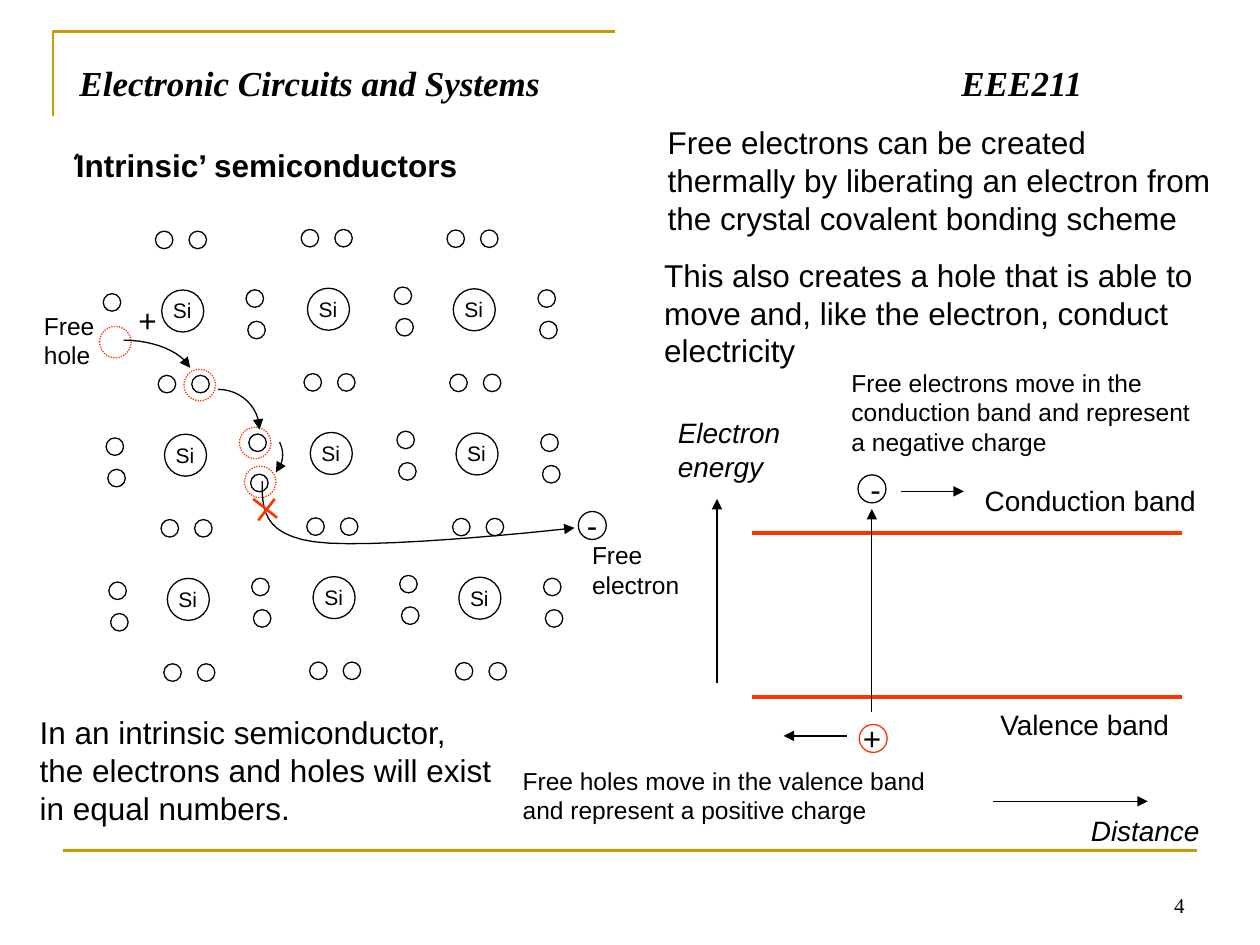
from lxml.etree import SubElement
from pptx import Presentation
from pptx.dml.color import RGBColor
from pptx.enum.dml import MSO_LINE
from pptx.enum.shapes import MSO_CONNECTOR, MSO_SHAPE
from pptx.enum.text import MSO_ANCHOR, PP_ALIGN
from pptx.oxml.ns import qn
from pptx.util import Pt

BLACK, WHITE, RED, GOLD = "000000", "FFFFFF", "FF3300", "CC9900"
SERIF = "Times New Roman"


def tint(fill, color):
    fill.solid()
    fill.fore_color.rgb = RGBColor.from_string(color)


def bend(start, *curves, steps=12):
    points = [start]
    for one, two, end in curves:
        first = points[-1]
        for step in range(1, steps + 1):
            t = step / steps
            u = 1 - t
            points.append(tuple(
                u**3 * a + 3 * u * u * t * b + 3 * u * t * t * c + t**3 * d
                for a, b, c, d in zip(first, one, two, end)))
    return points


class Sketch:
    base = {"name": "Arial", "size": Pt(18), "bold": False, "italic": False}

    def __init__(self, slide):
        self.slide = slide
        self.shapes = slide.shapes

    def words(self, para, text, **style):
        run = para.add_run()
        run.text = text
        for key, value in {**self.base, **style}.items():
            setattr(run.font, key, value)
        tint(run.font.fill, BLACK)

    def label(self, text, left, top, width, height, size=18, **style):
        box = self.shapes.add_textbox(Pt(left), Pt(top), Pt(width), Pt(height))
        box.text_frame.word_wrap = True
        if text:
            self.words(box.text_frame.paragraphs[0], text, size=Pt(size), **style)
        return box.text_frame

    def title(self, text, left, top, width, height, stop):
        holder = self.shapes.title
        place = {"left": left, "top": top, "width": width, "height": height}
        for key, value in place.items():
            setattr(holder, key, Pt(value))
        frame = holder.text_frame
        frame.vertical_anchor = MSO_ANCHOR.TOP
        frame.margin_top = Pt(6.5)
        para = frame.paragraphs[0]
        para.alignment = PP_ALIGN.LEFT
        self.words(para, text, name=SERIF, size=Pt(20), bold=True, italic=True)
        tabs = SubElement(holder.element.find(".//" + qn("a:pPr")), qn("a:tabLst"))
        SubElement(tabs, qn("a:tab"), pos=str(int(Pt(stop))), algn="l")

    def stroke(self, shape, color, weight, arrow=False):
        tint(shape.line.fill, color)
        shape.line.width = Pt(weight)
        if arrow:
            edge = shape.element.spPr.find(qn("a:ln"))
            SubElement(edge, qn("a:tailEnd"), type="triangle")

    def line(self, x1, y1, x2, y2, color=BLACK, weight=0.75, arrow=False):
        link = self.shapes.add_connector(
            MSO_CONNECTOR.STRAIGHT, Pt(x1), Pt(y1), Pt(x2), Pt(y2))
        self.stroke(link, color, weight, arrow)
        SubElement(link.element.spPr, qn("a:effectLst"))

    def trace(self, points, color=BLACK, weight=0.75, arrow=False):
        spots = [(Pt(x), Pt(y)) for x, y in points]
        pen = self.shapes.build_freeform(*spots[0])
        pen.add_line_segments(spots[1:], close=False)
        shape = pen.convert_to_shape()
        shape.shadow.inherit = False
        shape.fill.background()
        self.stroke(shape, color, weight, arrow)

    def ring(self, left, top, size, color=BLACK, fill=None, dotted=False):
        shape = self.shapes.add_shape(
            MSO_SHAPE.OVAL, Pt(left), Pt(top), Pt(size), Pt(size))
        shape.shadow.inherit = False
        if fill:
            tint(shape.fill, fill)
        else:
            shape.fill.background()
        self.stroke(shape, color, 0.75)
        if dotted:
            shape.line.dash_style = MSO_LINE.ROUND_DOT

    def dot(self, left, top):
        self.ring(left, top, 10, fill=WHITE)

    def lattice(self):
        across, down, skew = 83.3, 82.4, 1.6
        drops = (1, 0, 0.3)
        for row in range(4):
            for col, drop in enumerate(drops):
                left = 92.4 + col * across + row * skew
                top = 164.7 + row * down + drop
                for gap in (-3.6, 15.6):
                    self.dot(left + gap, top - 33.6)
                if row < 3:
                    self.ring(left, top, 24)
                    self.label("Si", left - 0.7, top + 1, 38, 21.6, size=12)
        sides = ((59, 167.8), (140.6, 165.6), (225.2, 164), (307.4, 165.6))
        for row in range(3):
            for col, (left, top) in enumerate(sides):
                x, y = left + row * skew, top + row * down
                self.dot(x, y)
                if (row, col) != (0, 0):
                    gap = 23 if (row, col) == (1, 1) else 18
                    self.dot(x + 1, y + gap)


def main():
    deck = Presentation()
    deck.slide_width, deck.slide_height = Pt(720), Pt(540)
    slide = deck.slides.add_slide(deck.slide_layouts[0])
    spare = slide.placeholders[1].element
    spare.getparent().remove(spare)
    art = Sketch(slide)

    art.trace([(30.2, 66.2), (30.2, 18), (351.4, 18)], GOLD, 1.5)
    art.line(36, 486, 684, 486, GOLD, 1.5)
    number = art.label("4", 516.2, 491.8, 167.8, 36, size=12, name=SERIF)
    number.vertical_anchor = MSO_ANCHOR.BOTTOM
    number.paragraphs[0].alignment = PP_ALIGN.RIGHT
    art.title("Electronic Circuits and Systems\tEEE211", 38.2, 28.8, 642.2, 43.9, 504)

    head = art.label("", 33.1, 79.9, 300.2, 28.8).paragraphs[0]
    art.words(head, "‘", name="Comic Neue", bold=True, italic=True)
    art.words(head, "Intrinsic’ semiconductors", bold=True)

    for y in (304.6, 398.2):
        art.line(675.7, y, 429.8, y, RED, 2.25)
    for ends in ((498.2, 406.8, 498.2, 290.9), (514.8, 280.8, 550.8, 280.8),
                 (483.8, 420.5, 447.8, 420.5), (567.4, 457.9, 655.9, 457.9),
                 (409.7, 390.2, 409.7, 285.1)):
        art.line(*ends, arrow=True)
    art.ring(490.3, 271.4, 16)
    art.ring(491, 414, 16, RED)

    art.lattice()
    for left, top in ((139.7, 266.4), (56.9, 186.5), (136.8, 244.1), (105.1, 211)):
        art.ring(left, top, 18, RED, dotted=True)
    art.ring(330.5, 292.3, 16)
    for points in (
        bend((149.8, 275), ((149.8, 290.2), (149.8, 305.3), (179.3, 309.6)),
             ((209.5, 313.9), (303.1, 304.6), (328.3, 301.7))),
        bend((124.6, 222.5), ((137.5, 222.5), (148.3, 232.6), (148.3, 245.5))),
        bend((70.6, 194.4), ((87.8, 194.4), (103.7, 200.9), (108.7, 210.2))),
        bend((159.8, 252.7), ((162.7, 258.5), (162, 265), (157.7, 270))),
    ):
        art.trace(points, arrow=True)
    for ends in ((157, 285.1, 147.6, 297.4), (144.7, 285.1, 158.4, 295.9)):
        art.line(*ends, RED, 1.5)

    for sign, left, top in (("-", 490.3, 265), ("+", 486, 407.5),
                            ("-", 328.3, 285.8), ("+", 72, 168.5)):
        art.label(sign, left, top, 28, 28.8)
    for text, left, top, width, height in (
        ("Free electrons can be created thermally by liberating an electron from "
         "the crystal covalent bonding scheme", 374.4, 67, 325.4, 72),
        ("This also creates a hole that is able to move and, like the electron, "
         "conduct electricity", 372.4, 142.6, 325.4, 72),
        ("In an intrinsic semiconductor, the electrons and holes will exist in "
         "equal numbers.", 15.6, 403.9, 274.3, 72),
    ):
        art.label(text, left, top, width, height)
    for text, left, top, width, height, slant in (
        ("Electron energy", 380.2, 234, 87.1, 46.1, True),
        ("Conduction band", 555.6, 272.9, 160.6, 26.6, False),
        ("Valence band", 564.5, 401, 130.3, 26.6, False),
        ("Distance", 616.3, 461.5, 103.7, 26.6, True),
    ):
        art.label(text, left, top, width, height, size=16, italic=slant)
    for text, left, top, width, height in (
        ("Free electrons move in the conduction band and represent a negative charge",
         479.5, 206.6, 218.9, 57.6),
        ("Free holes move in the valence band and represent a positive charge",
         291.6, 434.2, 247.7, 41),
        ("Free hole", 18, 174.2, 54, 41),
        ("Free electron", 331.2, 305.3, 66.2, 41),
    ):
        art.label(text, left, top, width, height, size=14)
    deck.save("out.pptx")


if __name__ == "__main__":
    main()
